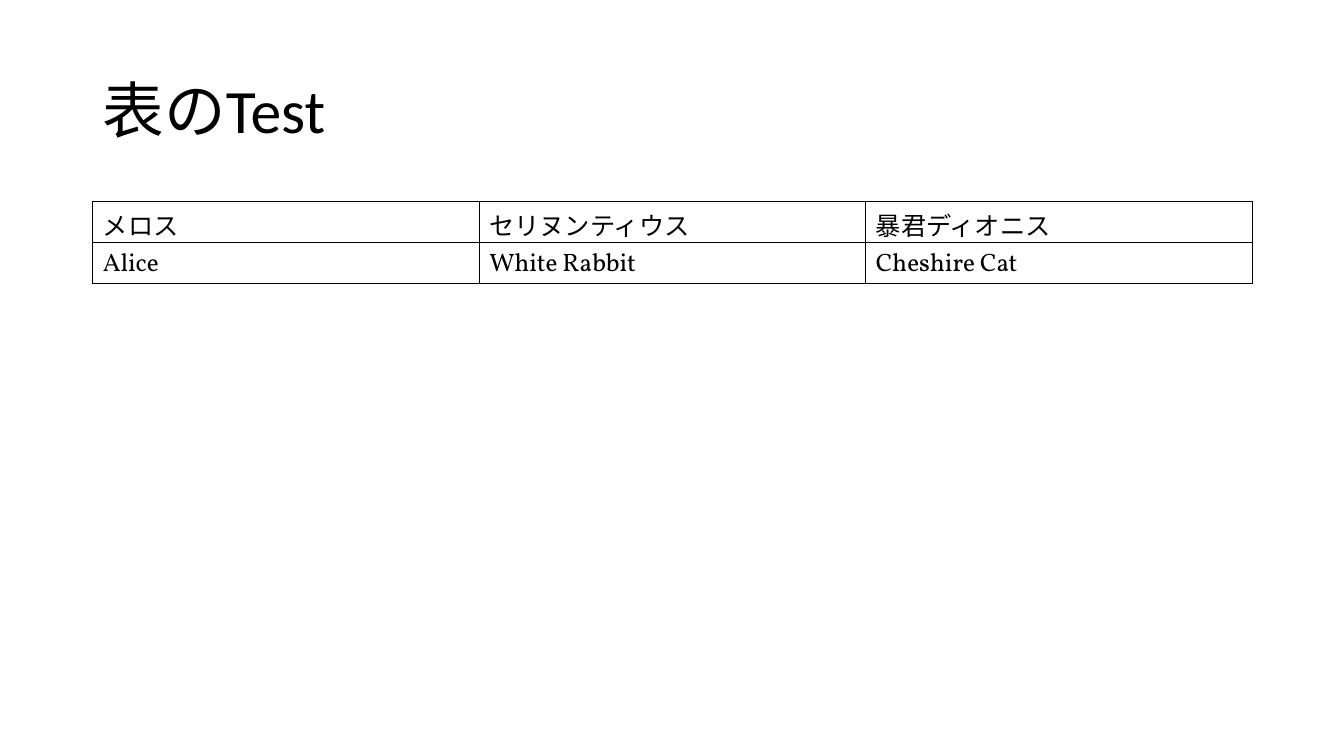
from lxml import etree
from pptx import Presentation
from pptx.dml.color import RGBColor
from pptx.enum.text import MSO_ANCHOR
from pptx.oxml.ns import qn
from pptx.util import Inches, Pt

MIDDLE = MSO_ANCHOR.MIDDLE
COLORS = {"text": "000000", "line": "000000"}
HEAD = {"name": "Calibri", "size": Pt(44), "bold": False}
BODY = {"name": "Vollkorn", "size": Pt(18), "bold": False}
LEFT, WIDTH = Inches(0.92), Inches(11.5)
NAMES = [
    ["メロス", "セリヌンティウス", "暴君ディオニス"],
    ["Alice", "White Rabbit", "Cheshire Cat"],
]


def write(frame, text, style):
    """Put one styled run in a text frame."""
    run = frame.paragraphs[0].add_run()
    run.text = text
    for key, value in style.items():
        setattr(run.font, key, value)
    run.font.color.rgb = RGBColor.from_string(COLORS["text"])


def add_title(slide, text):
    """Add the slide heading."""
    box = slide.shapes.add_textbox(LEFT, Inches(0.4), WIDTH, Inches(1.45))
    frame = box.text_frame
    frame.word_wrap = True
    frame.vertical_anchor = MIDDLE
    frame.paragraphs[0].line_spacing = 0.9
    write(frame, text, HEAD)


def add_edges(cell):
    """Draw a thin line on all four sides of a cell."""
    props = cell._tc.get_or_add_tcPr()
    for place, side in enumerate(("lnL", "lnR", "lnT", "lnB")):
        line = etree.Element(qn(f"a:{side}"), w=str(Pt(1)))
        fill = etree.SubElement(line, qn("a:solidFill"))
        etree.SubElement(fill, qn("a:srgbClr"), val=COLORS["line"])
        props.insert(place, line)


def add_grid(slide, rows):
    """Add a plain ruled table."""
    size = len(rows), len(rows[0])
    high = Inches(0.405 * len(rows))
    table = slide.shapes.add_table(*size, LEFT, Inches(2), WIDTH, high).table
    table.first_row = table.horz_banding = False
    for r, row in enumerate(rows):
        for c, text in enumerate(row):
            cell = table.cell(r, c)
            cell.fill.background()
            add_edges(cell)
            write(cell.text_frame, text, BODY)


def main():
    """Build and save the slide."""
    deck = Presentation()
    deck.slide_width, deck.slide_height = Inches(13.33), Inches(7.5)
    slide = deck.slides.add_slide(deck.slide_layouts[6])
    add_title(slide, "表のTest")
    add_grid(slide, NAMES)
    deck.save("out.pptx")


main()
